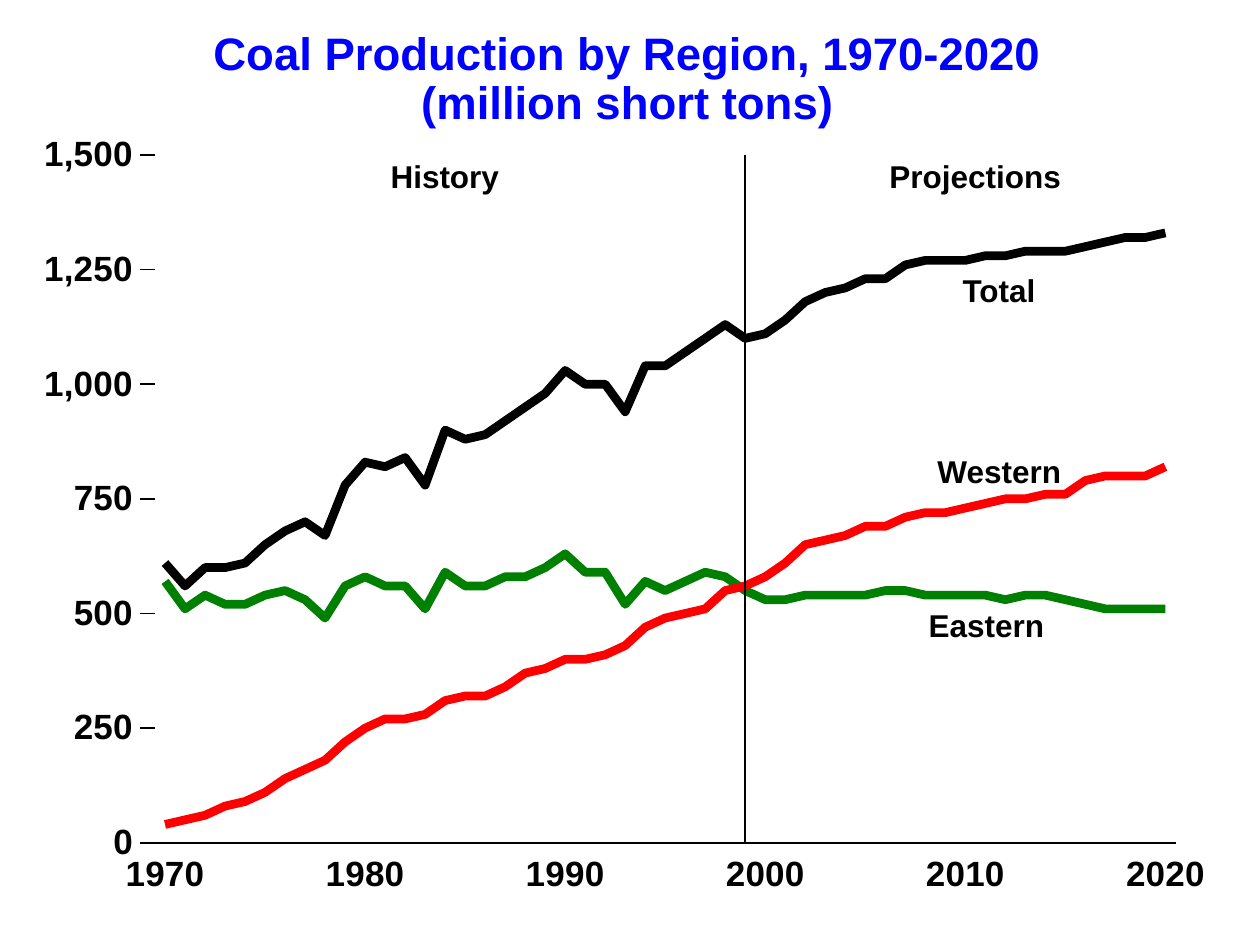
import pptx
import pptx.util
import pptx.chart.data
import pptx.dml.color
import pptx.enum.chart
import pptx.enum.shapes
import pptx.enum.text
import pptx.oxml
import pptx.oxml.ns

WIDE, HIGH = 10, 7.5
FONT = "Arial"
BLACK, BLUE = "000000", "0000FF"
TITLE = ["Coal Production by Region, 1970-2020", "(million short tons)"]
FIRST, LAST, SPLIT = 1970, 2020, 1999
TOP, STEP = 1500, 250
SERIES = [
    ("Total", BLACK, [
        610, 560, 600, 600, 610, 650, 680, 700, 670, 780,
        830, 820, 840, 780, 900, 880, 890, 920, 950, 980,
        1030, 1000, 1000, 940, 1040, 1040, 1070, 1100, 1130, 1100,
        1110, 1140, 1180, 1200, 1210, 1230, 1230, 1260, 1270, 1270,
        1270, 1280, 1280, 1290, 1290, 1290, 1300, 1310, 1320, 1320, 1330]),
    ("Western", "FF0000", [
        40, 50, 60, 80, 90, 110, 140, 160, 180, 220,
        250, 270, 270, 280, 310, 320, 320, 340, 370, 380,
        400, 400, 410, 430, 470, 490, 500, 510, 550, 560,
        580, 610, 650, 660, 670, 690, 690, 710, 720, 720,
        730, 740, 750, 750, 760, 760, 790, 800, 800, 800, 820]),
    ("Eastern", "008000", [
        570, 510, 540, 520, 520, 540, 550, 530, 490, 560,
        580, 560, 560, 510, 590, 560, 560, 580, 580, 600,
        630, 590, 590, 520, 570, 550, 570, 590, 580, 550,
        530, 530, 540, 540, 540, 540, 550, 550, 540, 540,
        540, 540, 530, 540, 540, 530, 520, 510, 510, 510, 510]),
]
LABELS = [
    ("Eastern", 7.37, 4.81, 0.92),
    ("Western", 7.44, 3.59, 0.99),
    ("Total", 7.64, 2.15, 0.6),
    ("History", 3.1, 1.25, 0.86),
    ("Projections", 7.06, 1.25, 1.36),
]
HEAD = (0.98, 0.25, 8, 0.78)
FRAME = (0.2, 1.05, 9.6, 6.2)
PLOT = (1.31, 1.23, 7.94, 5.46)
BASE = PLOT[1] + PLOT[3]
AXIS = (1.23, 9.33)
TICK = 0.12

inch = pptx.util.Inches


def color(code):
    return pptx.dml.color.RGBColor.from_string(code)


def style(font, size, code=BLACK):
    font.name, font.size, font.bold = FONT, pptx.util.Pt(size), True
    font.color.rgb = color(code)


def write(shape, lines, size=18, code=BLACK, align=None, space=None, wrap=False):
    frame = shape.text_frame
    frame.margin_left = frame.margin_right = 0
    frame.margin_top = frame.margin_bottom = 0
    frame.word_wrap = wrap
    frame.auto_size = pptx.enum.text.MSO_AUTO_SIZE.NONE
    frame.vertical_anchor = pptx.enum.text.MSO_ANCHOR.TOP
    for i, line in enumerate(lines):
        para = frame.add_paragraph() if i else frame.paragraphs[0]
        para.alignment, para.line_spacing = align, space
        para.space_before = pptx.util.Pt(0)
        run = para.add_run()
        run.text = line
        style(run.font, size, code)


def rule(slide, *ends):
    kind = pptx.enum.shapes.MSO_CONNECTOR.STRAIGHT
    line = slide.shapes.add_connector(kind, *map(inch, ends))
    line.line.color.rgb = color(BLACK)
    line.line.width = pptx.util.Pt(1)
    props = line._element.spPr
    props.append(pptx.oxml.parse_xml(
        f"<a:effectLst {pptx.oxml.ns.nsdecls('a')}/>"))


def place(chart):
    left, top, wide, high = FRAME
    share = {"x": (PLOT[0] - left) / wide, "y": (PLOT[1] - top) / high,
             "w": PLOT[2] / wide, "h": PLOT[3] / high}
    modes = "".join(f'<c:{k}Mode val="edge"/>' for k in "xy")
    sizes = "".join(f'<c:{k} val="{v:.5f}"/>' for k, v in share.items())
    area = chart._chartSpace.chart.plotArea
    for old in area.findall(pptx.oxml.ns.qn("c:layout")):
        area.remove(old)
    area.insert(0, pptx.oxml.parse_xml(
        f"<c:layout {pptx.oxml.ns.nsdecls('c')}><c:manualLayout>"
        f'<c:layoutTarget val="inner"/>{modes}{sizes}'
        "</c:manualLayout></c:layout>"))


def scale(axis, low, high, step, form):
    axis.minimum_scale, axis.maximum_scale = low, high
    axis.major_unit = step
    axis.has_major_gridlines = axis.has_minor_gridlines = False
    axis.major_tick_mark = pptx.enum.chart.XL_TICK_MARK.OUTSIDE
    axis.minor_tick_mark = pptx.enum.chart.XL_TICK_MARK.NONE
    axis.format.line.fill.background()
    marks = axis.tick_labels
    marks.number_format, marks.number_format_is_linked = form, False
    style(marks.font, 20)


def plot(slide):
    data = pptx.chart.data.XyChartData()
    for name, _, vals in SERIES:
        row = data.add_series(name)
        for year, val in enumerate(vals, FIRST):
            row.add_data_point(year, val)
    kind = pptx.enum.chart.XL_CHART_TYPE.XY_SCATTER_LINES_NO_MARKERS
    chart = slide.shapes.add_chart(kind, *map(inch, FRAME), data).chart
    chart.has_legend = chart.has_title = False
    style(chart.font, 20)
    chart.plots[0].vary_by_categories = False
    for row, (_, code, _) in zip(chart.plots[0].series, SERIES):
        row.smooth = False
        row.marker.style = pptx.enum.chart.XL_MARKER_STYLE.NONE
        row.format.line.color.rgb = color(code)
        row.format.line.width = pptx.util.Pt(5)
    scale(chart.category_axis, FIRST, LAST, 10, "0")
    scale(chart.value_axis, 0, TOP, STEP, "#,##0_0")
    place(chart)


def main():
    deck = pptx.Presentation()
    deck.slide_width, deck.slide_height = inch(WIDE), inch(HIGH)
    slide = deck.slides.add_slide(deck.slide_layouts[5])
    head = slide.shapes.title
    head.left, head.top, head.width, head.height = map(inch, HEAD)
    write(head, TITLE, size=26, code=BLUE, space=0.9, wrap=True,
          align=pptx.enum.text.PP_ALIGN.CENTER)
    plot(slide)
    mid = PLOT[0] + PLOT[2] * (SPLIT - FIRST) / (LAST - FIRST)
    rule(slide, mid, PLOT[1], mid, BASE)
    rule(slide, AXIS[0], BASE, AXIS[1], BASE)
    for val in range(0, TOP + 1, STEP):
        y = BASE - PLOT[3] * val / TOP
        rule(slide, AXIS[0] - TICK, y, AXIS[0], y)
    for text, x, y, wide in LABELS:
        write(slide.shapes.add_textbox(*map(inch, (x, y, wide, 0.3))), [text])
    deck.save("out.pptx")


if __name__ == "__main__":
    main()
